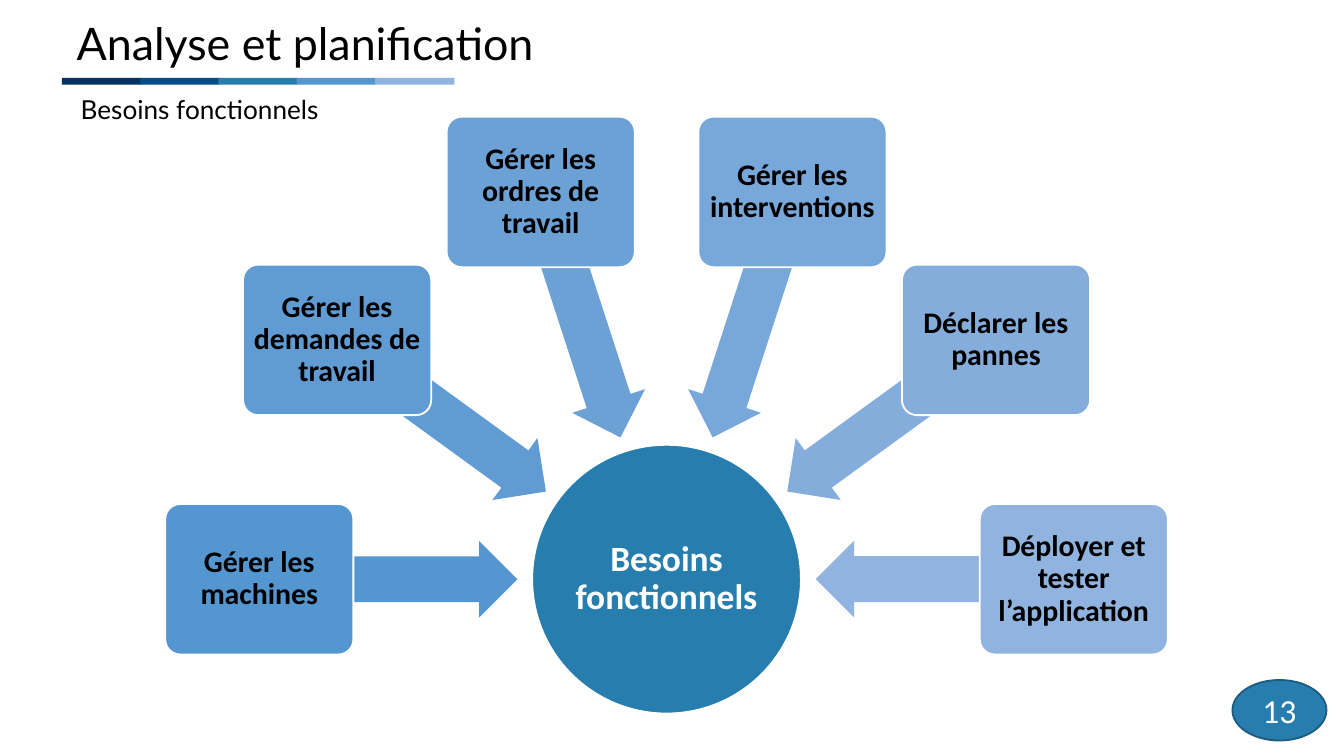
import math
from typing import NamedTuple

from lxml import etree
from pptx import Presentation
from pptx.dml.color import RGBColor
from pptx.enum.shapes import MSO_SHAPE
from pptx.enum.text import MSO_ANCHOR, MSO_AUTO_SIZE, PP_ALIGN
from pptx.oxml.ns import qn
from pptx.util import Inches, Pt

RECT = MSO_SHAPE.RECTANGLE
ROUND_RECT = MSO_SHAPE.ROUNDED_RECTANGLE
ELLIPSE = MSO_SHAPE.OVAL
BADGE = MSO_SHAPE.FLOWCHART_CONNECTOR
LEFT_ARROW = MSO_SHAPE.LEFT_ARROW
TOP, MIDDLE = MSO_ANCHOR.TOP, MSO_ANCHOR.MIDDLE
LEFT, CENTER = PP_ALIGN.LEFT, PP_ALIGN.CENTER
NO_AUTOFIT = MSO_AUTO_SIZE.NONE

COLORS = {
    "black": "000000",
    "white": "FFFFFF",
    "blue": "277DAE",
    "badge_line": "1D5C81",
}
BAR_COLORS = ["003361", "044B89", "277DAE", "5496D0", "90B4DF"]
BAR_LEFT, BAR_LAST_LEFT = 0.46, 2.79

SLIDE_W = 10
SLIDE_H = SLIDE_W * 9 / 16

HUB_X, HUB_Y, HUB_SIZE = 4.96, 4.31, 2
BOX_RADIUS, BOX_W, BOX_H = 3.03, 1.4, 1.12
ARROW_RADIUS, ARROW_W, ARROW_H = 2.07, 1.92, 0.57


class Box(NamedTuple):
    left: float
    top: float
    width: float
    height: float


class Need(NamedTuple):
    label: str
    color: str


class Style(NamedTuple):
    size: float
    font: str
    color: str
    bold: bool = False


NEEDS = [
    Need("Gérer les machines", "5496D0"),
    Need("Gérer les demandes de travail", "609BD3"),
    Need("Gérer les ordres de travail", "6CA1D6"),
    Need("Gérer les interventions", "78A7D9"),
    Need("Déclarer les pannes", "84ADDC"),
    Need("Déployer et tester l’application", "90B4DF"),
]
HUB_STYLE = Style(19, "Calibri", COLORS["white"], True)
NEED_STYLE = Style(16, "Calibri", COLORS["black"], True)
BADGE_STYLE = Style(18, "Calibri", COLORS["white"])


def polar_box(radius: float, degrees: float, width: float, height: float) -> Box:
    """Box centred at a distance and angle from the hub."""
    angle = math.radians(degrees)
    x = HUB_X + radius * math.cos(angle)
    y = HUB_Y + radius * math.sin(angle)
    return Box(x - width / 2, y - height / 2, width, height)


def add_shape(slide, kind, box: Box, fill: str, line: str | None = None):
    sp = slide.shapes.add_shape(kind, *map(Inches, box))
    sp.shadow.inherit = False
    sp.fill.solid()
    sp.fill.fore_color.rgb = RGBColor.from_string(fill)
    if line:
        sp.line.color.rgb = RGBColor.from_string(line)
        sp.line.width = Pt(1)
    else:
        sp.line.fill.background()
    return sp


def add_run(p, text: str, style: Style) -> None:
    r = p.add_run()
    r.text = text
    r.font.size = Pt(style.size)
    r.font.name = style.font
    r.font.bold = style.bold
    r.font.color.rgb = RGBColor.from_string(style.color)


def set_label(sp, text: str, style: Style, inset: float, spacing: float = 0.9) -> None:
    tf = sp.text_frame
    tf.word_wrap = True
    tf.vertical_anchor = MIDDLE
    tf.margin_left = tf.margin_right = tf.margin_top = tf.margin_bottom = Inches(inset)
    p = tf.paragraphs[0]
    p.alignment = CENTER
    p.line_spacing = spacing
    add_run(p, text, style)


def fill_placeholder(sp, box: Box, text: str, size: float) -> None:
    sp.left, sp.top, sp.width, sp.height = map(Inches, box)
    tf = sp.text_frame
    tf.word_wrap = True
    tf.auto_size = NO_AUTOFIT
    tf.vertical_anchor = TOP
    p = tf.paragraphs[0]
    p.alignment = LEFT
    p.line_spacing = 0.9
    p.space_before = Pt(0)
    props = p._p.get_or_add_pPr()
    props.set("marL", str(Inches(0.25)))
    props.set("indent", str(Inches(-0.25)))
    etree.SubElement(props, qn("a:buNone"))
    add_run(p, text, Style(size, "Lato", COLORS["black"]))


def add_need(slide, need: Need, degrees: float) -> None:
    arrow_box = polar_box(ARROW_RADIUS, degrees, ARROW_W, ARROW_H)
    arrow = add_shape(slide, LEFT_ARROW, arrow_box, need.color)
    arrow.adjustments[0] = 0.6
    arrow.adjustments[1] = 0.5
    arrow.rotation = degrees % 360
    card_box = polar_box(BOX_RADIUS, degrees, BOX_W, BOX_H)
    card = add_shape(slide, ROUND_RECT, card_box, need.color, COLORS["white"])
    card.adjustments[0] = 0.1
    set_label(card, need.label, NEED_STYLE, 0.03)


def main() -> None:
    prs = Presentation()
    prs.slide_width, prs.slide_height = Inches(SLIDE_W), Inches(SLIDE_H)
    slide = prs.slides.add_slide(prs.slide_layouts[1])

    bar_step = (BAR_LAST_LEFT - BAR_LEFT) / (len(BAR_COLORS) - 1)
    for i, color in enumerate(BAR_COLORS):
        add_shape(slide, RECT, Box(BAR_LEFT + i * bar_step, 0.58, 0.59, 0.05), color)
    fill_placeholder(slide.shapes.title, Box(0.47, 0.11, 4.76, 0.4),
                     "Analyse et planification", 24)
    fill_placeholder(slide.placeholders[1], Box(0.5, 0.67, 2.58, 0.31),
                     "Besoins fonctionnels", 14)

    badge = add_shape(slide, BADGE, Box(9.17, 5.06, 0.7, 0.45),
                      COLORS["blue"], COLORS["badge_line"])
    set_label(badge, "13", BADGE_STYLE, 0.05, 1.0)

    hub = add_shape(slide, ELLIPSE, polar_box(0, 0, HUB_SIZE, HUB_SIZE),
                    COLORS["blue"], COLORS["white"])
    set_label(hub, "Besoins fonctionnels", HUB_STYLE, 0.01)

    need_step = 180 / (len(NEEDS) - 1)
    for i, need in enumerate(NEEDS):
        add_need(slide, need, 180 + i * need_step)

    prs.save("out.pptx")


if __name__ == "__main__":
    main()
